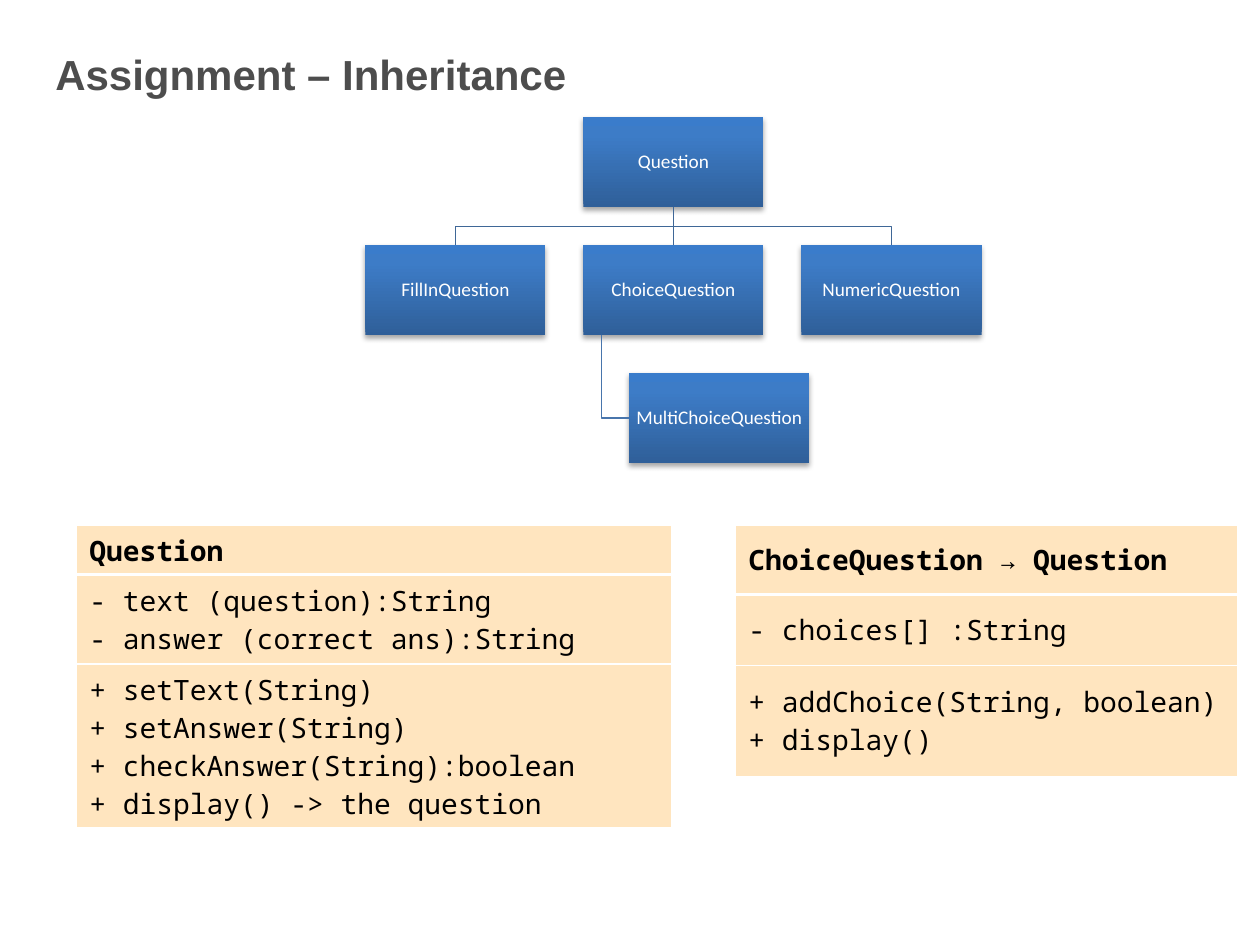
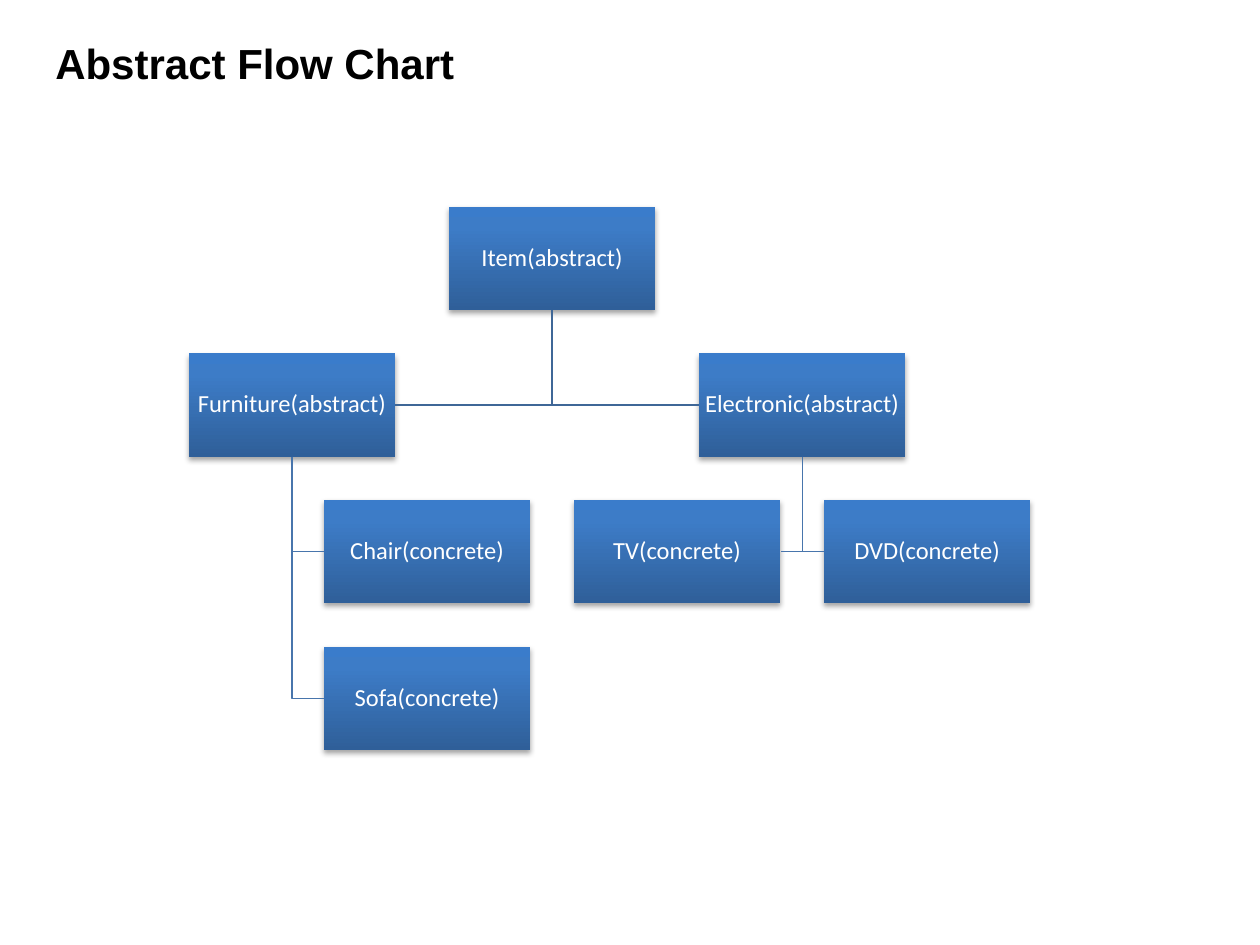
from lxml.etree import SubElement as Sub
from pptx import Presentation
from pptx.dml.color import RGBColor as Rgb
from pptx.enum.shapes import MSO_CONNECTOR as Conn, MSO_SHAPE as Kind
from pptx.enum.text import MSO_ANCHOR as Anchor, PP_ALIGN as Align
from pptx.oxml import parse_xml
from pptx.oxml.ns import nsdecls, qn
from pptx.util import Inches, Pt

WHITE = Rgb(0xFF, 0xFF, 0xFF)
BLACK = Rgb(0, 0, 0)
GREY = Rgb(0x4D, 0x4D, 0x4D)
CREAM = Rgb(0xFF, 0xE5, 0xBF)
DEEP = Rgb(0x2F, 0x5F, 0x99)
MID = Rgb(0x3D, 0x7C, 0xC7)
LIGHT = Rgb(0x3A, 0x7C, 0xCB)
TOP = Rgb(0x3F, 0x67, 0x97)
LOW = Rgb(0x48, 0x75, 0xAC)

STEP_X, STEP_Y = 1.21, 1.42
RIMS = ("lnL", "lnR", "lnT", "lnB")

PAGES = [
    dict(
        title="Assignment – Inheritance", color=GREY, high=0.67,
        tree=dict(
            left=2.9, top=0.93, wide=1.43, size=11,
            nodes={
                "Question": (1, 0),
                "FillInQuestion": (0, 1),
                "ChoiceQuestion": (1, 1),
                "MultiChoiceQuestion": (1.21, 2),
                "NumericQuestion": (2, 1),
            },
            links=[
                ("Question", "FillInQuestion", None),
                ("Question", "ChoiceQuestion", None),
                ("Question", "NumericQuestion", None),
                ("ChoiceQuestion", "MultiChoiceQuestion", 0.1),
            ],
        ),
        tables=[
            dict(left=0.61, wide=4.72, rows=[
                (0.39, ["Question"]),
                (0.71, ["- text (question):String",
                        "- answer (correct ans):String"]),
                (1.3, ["+ setText(String)", "+ setAnswer(String)",
                       "+ checkAnswer(String):boolean",
                       "+ display() -> the question"]),
            ]),
            dict(left=5.84, wide=3.98, rows=[
                (0.55, ["ChoiceQuestion → Question"]),
                (0.56, ["- choices[] :String"]),
                (0.88, ["+ addChoice(String, boolean)", "+ display()"]),
            ]),
        ],
    ),
    dict(
        title="Abstract Flow Chart", color=BLACK, high=0.5,
        tree=dict(
            left=2.57, top=1.64, wide=1.64, size=14,
            nodes={
                "Item(abstract)": (0.5, 0),
                "Furniture(abstract)": (-0.54, 1),
                "Chair(concrete)": (0, 2),
                "Sofa(concrete)": (0, 3),
                "Electronic(abstract)": (1.5, 1),
                "TV(concrete)": (1, 2),
                "DVD(concrete)": (2, 2),
            },
            links=[
                ("Item(abstract)", "Furniture(abstract)", 0.5),
                ("Item(abstract)", "Electronic(abstract)", 0.5),
                ("Furniture(abstract)", "Chair(concrete)", 0.5),
                ("Furniture(abstract)", "Sofa(concrete)", 0.5),
                ("Electronic(abstract)", "TV(concrete)", 0.5),
                ("Electronic(abstract)", "DVD(concrete)", 0.5),
            ],
        ),
        tables=[],
    ),
]


def style(para, face, size, color, bold=False):
    for run in para.runs:
        font = run.font
        font.name, font.size, font.bold = face, Pt(size), bold
        font.color.rgb = color


def add_title(slide, page):
    box = slide.shapes.add_textbox(
        Inches(0.34), Inches(0.25), Inches(7.25), Inches(page["high"]))
    frame = box.text_frame
    frame.word_wrap = True
    frame.vertical_anchor = Anchor.MIDDLE
    frame.text = page["title"]
    style(frame.paragraphs[0], "Arial", 24, page["color"], True)


def shade(box):
    stops = "".join(
        f'<a:gs pos="{pos}000"><a:srgbClr val="{tint}"/></a:gs>'
        for pos, tint in ((0, DEEP), (80, MID), (100, LIGHT)))
    box.line.fill.background()
    props = box._element.spPr
    props.insert(2, parse_xml(
        f'<a:gradFill {nsdecls("a")} rotWithShape="1"><a:gsLst>{stops}</a:gsLst>'
        '<a:lin ang="16200000" scaled="0"/></a:gradFill>'))
    props.append(parse_xml(
        f'<a:effectLst {nsdecls("a")}><a:outerShdw blurRad="{Pt(3.1)}" '
        f'dist="{Pt(1.8)}" dir="5400000" rotWithShape="0">'
        '<a:srgbClr val="000000"><a:alpha val="35000"/></a:srgbClr>'
        '</a:outerShdw></a:effectLst>'))


def add_node(slide, name, spot, tree):
    col, row = spot
    wide = tree["wide"]
    high = wide / 2
    box = slide.shapes.add_shape(
        Kind.RECTANGLE,
        Inches(tree["left"] + col * wide * STEP_X),
        Inches(tree["top"] + row * high * STEP_Y),
        Inches(wide), Inches(high))
    shade(box)
    frame = box.text_frame
    frame.word_wrap = True
    frame.vertical_anchor = Anchor.MIDDLE
    frame.margin_left = frame.margin_right = Inches(0.01)
    frame.margin_top = frame.margin_bottom = Inches(0.01)
    frame.text = name
    para = frame.paragraphs[0]
    para.alignment = Align.CENTER
    para.line_spacing = 0.9
    style(para, "Calibri", tree["size"], WHITE)
    return box


def add_link(slide, head, kid, share, color):
    base = head.top + head.height
    stem = head.left + round(head.width * (share or 0.5))
    mid = kid.left + kid.width // 2
    if share is None and mid == stem:
        line = slide.shapes.add_connector(Conn.STRAIGHT, stem, base, mid, kid.top)
        line.begin_connect(head, 2)
        line.end_connect(kid, 0)
        Sub(line._element.spPr, qn("a:effectLst"))
    else:
        if share is None:
            half = (base + kid.top) // 2
            bends = [(stem, half), (mid, half), (mid, kid.top)]
        else:
            level = kid.top + kid.height // 2
            side = kid.left if mid > stem else kid.left + kid.width
            bends = [(stem, level), (side, level)]
        path = slide.shapes.build_freeform(stem, base)
        path.add_line_segments(bends, close=False)
        line = path.convert_to_shape()
        line.fill.background()
        line.shadow.inherit = False
    line.line.color.rgb = color
    line.line.width = Pt(0.75)


def add_tree(slide, tree):
    nodes = tree["nodes"]
    boxes = {name: add_node(slide, name, spot, tree)
             for name, spot in nodes.items()}
    for head, kid, share in tree["links"]:
        color = LOW if nodes[head][1] else TOP
        add_link(slide, boxes[head], boxes[kid], share, color)


def add_rims(cell, widths):
    props = cell._tc.get_or_add_tcPr()
    for spot, (rim, width) in enumerate(zip(RIMS, widths)):
        props.insert(spot, parse_xml(
            f'<a:{rim} {nsdecls("a")} w="{Pt(width)}"><a:solidFill>'
            f'<a:srgbClr val="{WHITE}"/></a:solidFill></a:{rim}>'))


def add_grid(slide, data):
    rows = data["rows"]
    high = sum(size for size, _ in rows)
    grid = slide.shapes.add_table(
        len(rows), 1, Inches(data["left"]), Inches(4.17),
        Inches(data["wide"]), Inches(high)).table
    grid.first_row = grid.horz_banding = False
    rules = (0.75, 2, 1, 0.75)
    for i, (size, lines) in enumerate(rows):
        grid.rows[i].height = Inches(size)
        cell = grid.cell(i, 0)
        cell.fill.solid()
        cell.fill.fore_color.rgb = CREAM
        cell.vertical_anchor = Anchor.MIDDLE
        add_rims(cell, (0.75, 0.75, rules[i], rules[i + 1]))
        cell.text_frame.text = "\n".join(lines)
        for para in cell.text_frame.paragraphs:
            style(para, "Noto Sans Mono", 16, BLACK, i == 0)


def main():
    deck = Presentation()
    deck.slide_width, deck.slide_height = Inches(10), Inches(7.5)
    for page in PAGES:
        slide = deck.slides.add_slide(deck.slide_layouts[6])
        add_title(slide, page)
        add_tree(slide, page["tree"])
        for data in page["tables"]:
            add_grid(slide, data)
    deck.save("out.pptx")


if __name__ == "__main__":
    main()
